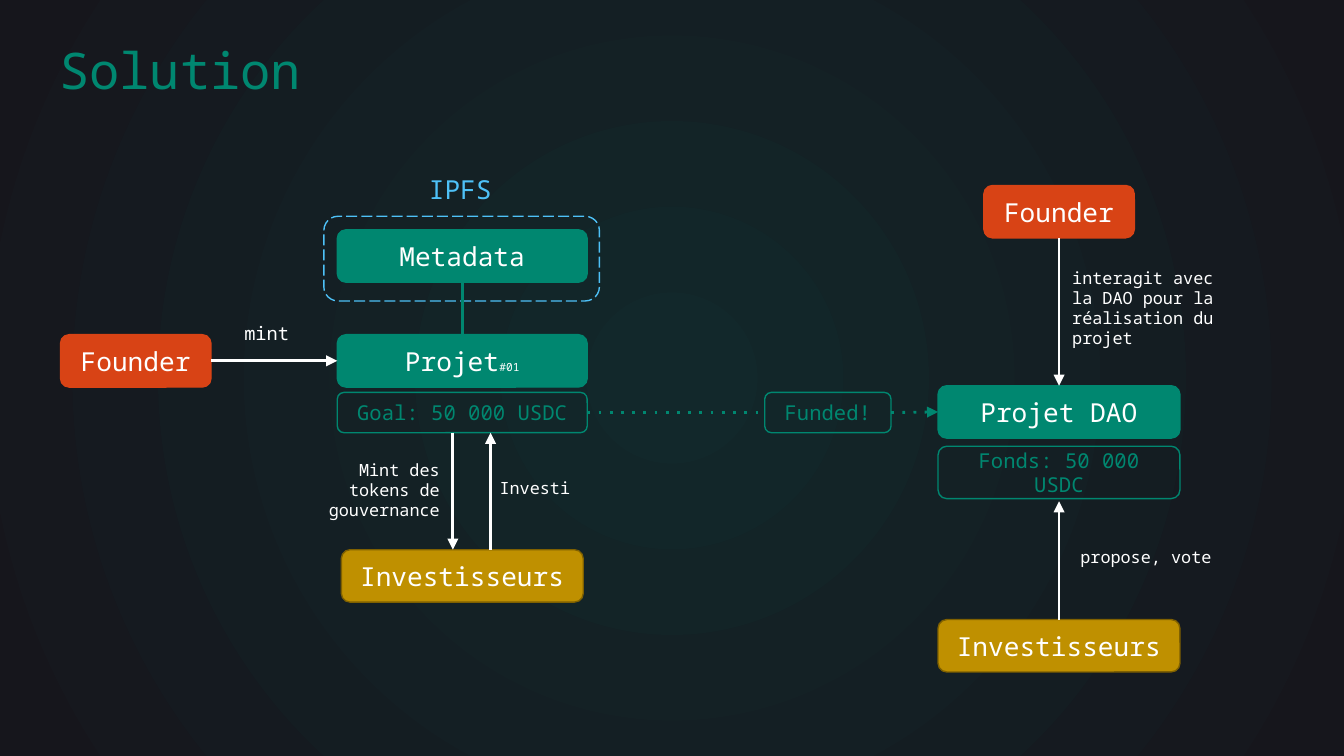
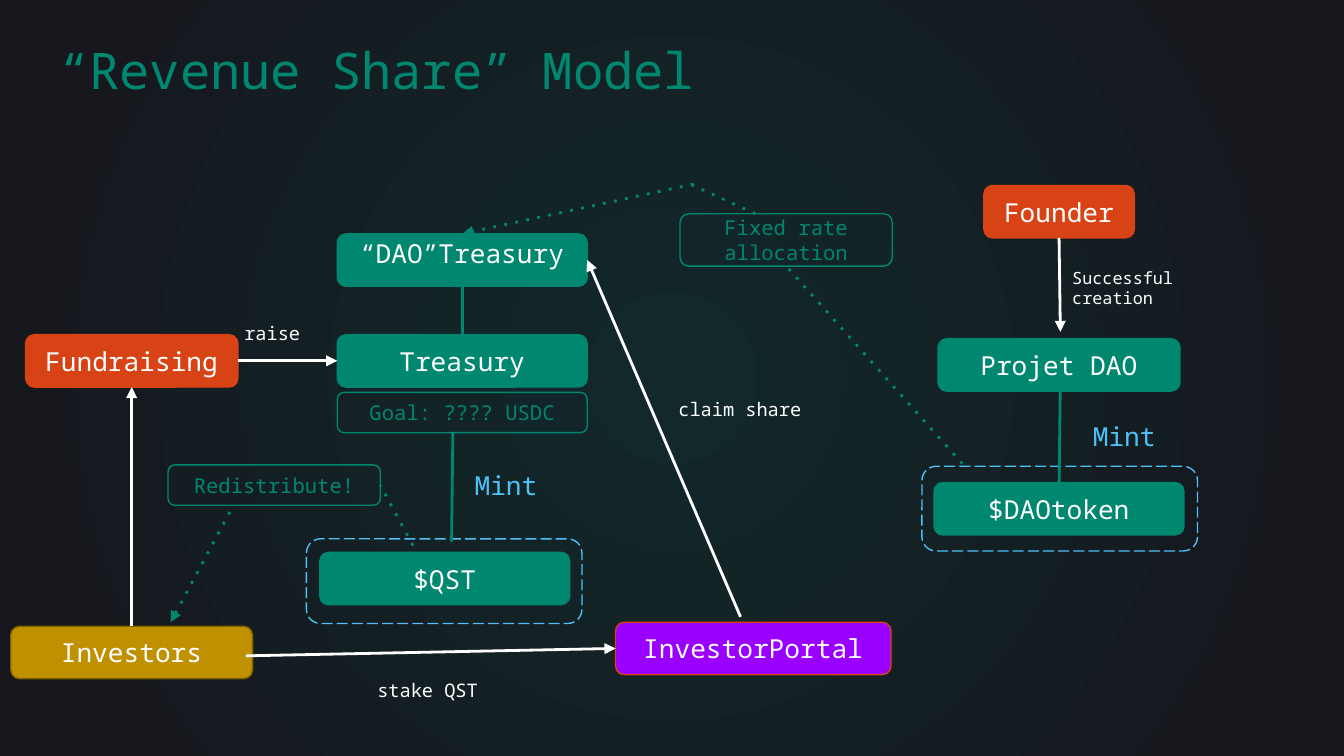
from lxml.etree import SubElement
from pptx import Presentation
from pptx.dml.color import RGBColor
from pptx.enum.dml import MSO_LINE
from pptx.enum.shapes import MSO_CONNECTOR, MSO_SHAPE
from pptx.enum.text import MSO_ANCHOR, MSO_AUTO_SIZE, PP_ALIGN
from pptx.oxml.ns import qn
from pptx.util import Inches, Pt

FONT = "Noto Sans Mono"
COLORS = {
    "center": "12282B", "edge": "16161C", "green": "008770", "blue": "4EC1F7",
    "orange": "D84315", "gold": "BF9000", "brown": "7F6000",
    "purple": "9900FF", "white": "FFFFFF",
}
# Box kinds: fill, line, font colour, font size
BOXES = {
    "project": ("green", "green", "white", 14),
    "founder": ("orange", "orange", "white", 14),
    "investor": ("gold", "brown", "white", 14),
    "portal": ("purple", "orange", "white", 14),
    "status": (None, "green", "green", 11),
}
TOP, LEFT, BOTTOM, RIGHT = range(4)
BOX_H, STATUS_H = 0.39, 0.3
WIDE, MEDIUM, SMALL = 1.86, 1.8, 1.12


def rgb(name):
    return RGBColor.from_string(COLORS[name])


def add_run(p, text, size, color):
    r = p.add_run()
    r.text = text
    for key, value in {"name": FONT, "size": Pt(size), "bold": False}.items():
        setattr(r.font, key, value)
    r.font.color.rgb = rgb(color)


def format_frame(tf, anchor, auto_size=MSO_AUTO_SIZE.NONE):
    values = {"word_wrap": True, "auto_size": auto_size, "vertical_anchor": anchor}
    for side in ("left", "right", "top", "bottom"):
        values["margin_" + side] = Inches(0.1)
    for key, value in values.items():
        setattr(tf, key, value)


def add_slide(prs, title):
    s = prs.slides.add_slide(prs.slide_layouts[5])
    # Radial background
    fill = s.background.fill
    fill.gradient()
    for stop, color, position in zip(fill.gradient_stops, ("center", "edge"), (0, 1)):
        stop.color.rgb = rgb(color)
        stop.position = position
    grad = s.background._cSld.find(".//" + qn("a:gradFill"))
    grad.remove(grad.find(qn("a:lin")))
    circle = SubElement(grad, qn("a:path"), {"path": "circle"})
    SubElement(circle, qn("a:fillToRect"), {side: "50000" for side in "ltrb"})
    # Title
    sp = s.shapes.title
    for key, value in zip(("left", "top", "width", "height"), (0.34, 0.19, 9.32, 0.63)):
        setattr(sp, key, Inches(value))
    format_frame(sp.text_frame, MSO_ANCHOR.TOP)
    p = sp.text_frame.paragraphs[0]
    p.alignment = PP_ALIGN.LEFT
    add_run(p, title, 27, "green")
    return s


def add_round_rect(s, x, y, w, h, fill, line):
    sp = s.shapes.add_shape(MSO_SHAPE.ROUNDED_RECTANGLE,
                            Inches(x), Inches(y), Inches(w), Inches(h))
    sp.shadow.inherit = False
    if fill:
        sp.fill.solid()
        sp.fill.fore_color.rgb = rgb(fill)
    else:
        sp.fill.background()
    sp.line.color.rgb = rgb(line)
    sp.line.width = Pt(0.75)
    return sp


def add_box(s, text, kind, x, y, w, h=BOX_H, suffix=""):
    fill, line, color, size = BOXES[kind]
    sp = add_round_rect(s, x, y, w, h, fill, line)
    format_frame(sp.text_frame, MSO_ANCHOR.MIDDLE)
    p = sp.text_frame.paragraphs[0]
    p.alignment = PP_ALIGN.CENTER
    add_run(p, text, size, color)
    if suffix:
        add_run(p, suffix, 6, color)
    return sp


def add_dashed_frame(s, x, y):
    sp = add_round_rect(s, x, y, 2.05, 0.63, None, "blue")
    sp.line.dash_style = MSO_LINE.LONG_DASH


def add_label(s, text, x, y, w, h, size=9, color="white", align=PP_ALIGN.LEFT):
    tf = s.shapes.add_textbox(Inches(x), Inches(y), Inches(w), Inches(h)).text_frame
    format_frame(tf, MSO_ANCHOR.TOP, MSO_AUTO_SIZE.SHAPE_TO_FIT_TEXT)
    for i, line in enumerate(text.split("\n")):
        p = tf.add_paragraph() if i else tf.paragraphs[0]
        p.alignment = align
        add_run(p, line, size, color)


def add_heading(s, text, x, y):
    add_label(s, text, x, y, 1.89, 0.44, 14, "blue", PP_ALIGN.CENTER)


def add_link(s, start, end, color="white", arrow=True, dotted=False):
    """Each end is a point (x, y) or a joint (shape, side)."""
    joined = [not isinstance(e[0], (int, float)) for e in (start, end)]
    points = [(0, 0) if j else e for j, e in zip(joined, (start, end))]
    c = s.shapes.add_connector(MSO_CONNECTOR.STRAIGHT,
                               *(Inches(v) for point in points for v in point))
    if joined[0]:
        c.begin_connect(*start)
    if joined[1]:
        c.end_connect(*end)
    c.line.color.rgb = rgb(color)
    c.line.width = Pt(1.5)
    ln = c.line._get_or_add_ln()
    if dotted:
        SubElement(ln, qn("a:prstDash"), val="dot")
    if arrow:
        SubElement(ln, qn("a:tailEnd"), type="triangle")
    SubElement(c._element.spPr, qn("a:effectLst"))


def build_solution(prs):
    s = add_slide(prs, "Solution")

    # Project and its founder
    add_dashed_frame(s, 2.41, 1.61)
    project = add_box(s, "Projet", "project", 2.51, 2.49, WIDE, suffix="#01")
    metadata = add_box(s, "Metadata", "project", 2.51, 1.71, WIDE)
    founder = add_box(s, "Founder", "founder", 0.45, 2.49, SMALL)
    goal = add_box(s, "Goal: 50 000 USDC", "status", 2.51, 2.92, WIDE, STATUS_H)
    add_box(s, "Investisseurs", "investor", 2.54, 4.09, MEDIUM)

    # DAO side
    funded = add_box(s, "Funded!", "status", 5.69, 2.92, 0.94, STATUS_H)
    dao_founder = add_box(s, "Founder", "founder", 7.32, 1.38, SMALL)
    dao = add_box(s, "Projet DAO", "project", 6.98, 2.87, MEDIUM)
    add_box(s, "Fonds: 50 000 USDC", "status", 6.98, 3.32, MEDIUM)
    voters = add_box(s, "Investisseurs", "investor", 6.98, 4.61, MEDIUM)

    # Links
    add_link(s, (project, TOP), (metadata, BOTTOM), "green", arrow=False)
    add_link(s, (founder, RIGHT), (project, LEFT))
    add_link(s, (goal, RIGHT), (funded, LEFT), "green", arrow=False, dotted=True)
    add_link(s, (funded, RIGHT), (dao, LEFT), "green", dotted=True)
    add_link(s, (dao_founder, BOTTOM), (dao, TOP))
    add_link(s, (voters, TOP), (7.88, 3.73))
    add_link(s, (3.65, 4.09), (3.65, 3.22))
    add_link(s, (3.37, 3.22), (3.37, 4.09))

    # Labels
    add_heading(s, "IPFS", 2.48, 1.19)
    add_label(s, "mint", 1.72, 2.31, 0.57, 0.37, 10)
    add_label(s, "interagit avec la DAO pour la réalisation du projet", 7.88, 1.89, 1.3, 0.81)
    add_label(s, "propose, vote", 7.94, 3.99, 1.3, 0.35)
    add_label(s, "Investi", 3.33, 3.48, 1.3, 0.35, align=PP_ALIGN.CENTER)
    add_label(s, "Mint des\ntokens de gouvernance", 2.07, 3.32, 1.3, 0.66,
              align=PP_ALIGN.RIGHT)


def build_revenue_share(prs):
    s = add_slide(prs, "“Revenue Share” Model")

    # Treasury and investors
    add_dashed_frame(s, 2.28, 4.01)
    treasury = add_box(s, "Treasury", "project", 2.51, 2.49, WIDE)
    add_box(s, "$QST", "project", 2.38, 4.11, WIDE)
    fundraising = add_box(s, "Fundraising", "founder", 0.19, 2.49, 1.58)
    add_box(s, "Goal: ???? USDC", "status", 2.51, 2.92, WIDE, STATUS_H)
    redistribute = add_box(s, "Redistribute!", "status", 1.25, 3.46, 1.58, STATUS_H)
    investors = add_box(s, "Investors", "investor", 0.08, 4.66, MEDIUM)
    dao_treasury = add_box(s, "“DAO”Treasury", "project", 2.51, 1.74, WIDE)
    dao_treasury.text_frame.margin_bottom = Inches(0.2)
    portal = add_box(s, "InvestorPortal", "portal", 4.58, 4.63, 2.05)

    # DAO side
    founder = add_box(s, "Founder", "founder", 7.32, 1.38, SMALL)
    add_box(s, "Projet DAO", "project", 6.98, 2.52, MEDIUM)
    allocation = add_box(s, "Fixed rate allocation", "status", 5.06, 1.59, 1.58)
    add_dashed_frame(s, 6.86, 3.47)
    add_box(s, "$DAOtoken", "project", 6.95, 3.59, WIDE)

    # Solid links
    add_link(s, (treasury, TOP), (dao_treasury, BOTTOM), "green", arrow=False)
    add_link(s, (3.36, 4.03), (3.37, 3.22), "green", arrow=False)
    add_link(s, (7.88, 3.62), (7.89, 2.81), "green", arrow=False)
    add_link(s, (fundraising, RIGHT), (treasury, LEFT))
    add_link(s, (founder, BOTTOM), (7.89, 2.47))
    add_link(s, (investors, TOP), (fundraising, BOTTOM))
    add_link(s, (1.83, 4.88), (portal, LEFT))
    add_link(s, (5.51, 4.59), (dao_treasury, RIGHT))

    # Dotted links
    add_link(s, (3.31, 4.5), (redistribute, RIGHT), "green", arrow=False, dotted=True)
    add_link(s, (1.71, 3.81), (1.27, 4.63), "green", dotted=True)
    add_link(s, (5.16, 1.37), (dao_treasury, TOP), "green", dotted=True)
    add_link(s, (5.62, 1.59), (5.09, 1.35), "green", arrow=False, dotted=True)
    add_link(s, (7.16, 3.45), (allocation, BOTTOM), "green", arrow=False, dotted=True)

    # Labels
    add_heading(s, "Mint", 7.42, 3.03)
    add_heading(s, "Mint", 2.82, 3.39)
    add_label(s, "raise", 1.72, 2.31, 0.63, 0.37, 10)
    add_label(s, "Successful creation", 7.88, 1.89, 1.3, 0.5)
    add_label(s, "stake QST", 2.71, 4.97, 1.3, 0.37, 10)
    add_label(s, "claim share", 4.95, 2.88, 1.14, 0.37, 10)


def main():
    prs = Presentation()
    prs.slide_width = Inches(10)
    prs.slide_height = Inches(10 * 9 / 16)
    build_solution(prs)
    build_revenue_share(prs)
    prs.save("out.pptx")


if __name__ == "__main__":
    main()
